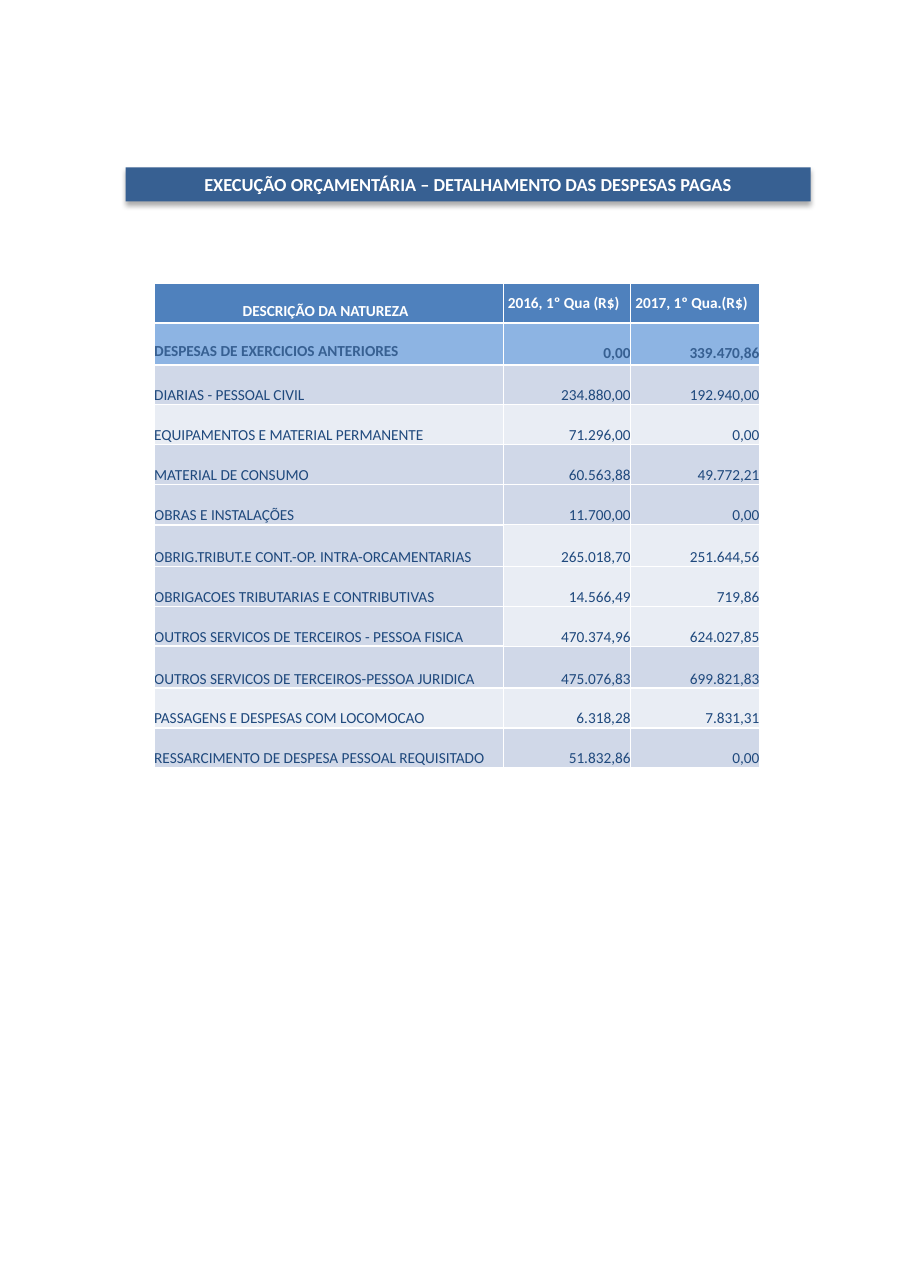
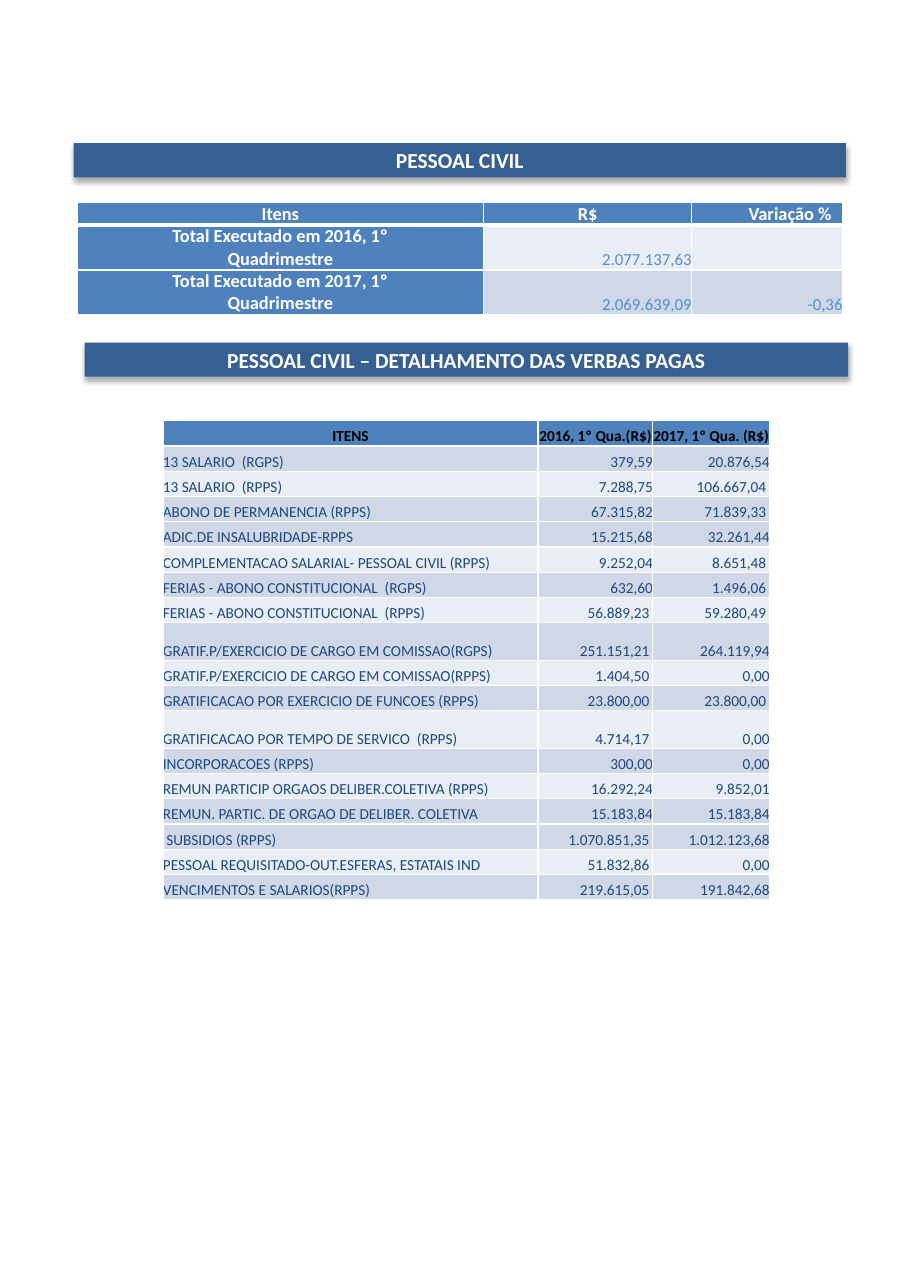
from dataclasses import dataclass, replace

from lxml.etree import SubElement
from pptx import Presentation
from pptx.dml.color import RGBColor
from pptx.enum.shapes import MSO_SHAPE
from pptx.enum.text import MSO_ANCHOR, PP_ALIGN
from pptx.oxml.ns import qn
from pptx.util import Pt


@dataclass(frozen=True)
class Theme:
    font: str = "Calibri"
    banner: str = "376092"
    header: str = "4F81BD"
    highlight: str = "8DB4E3"
    dark_band: str = "D0D8E8"
    light_band: str = "E9EDF4"
    body: str = "1F497D"
    amount: str = "558ED5"
    white: str = "FFFFFF"
    black: str = "000000"
    small: float = 10
    medium: float = 11
    large: float = 12
    title: float = 14


THEME = Theme()
BANDS = {"D": THEME.dark_band, "L": THEME.light_band,
         "H": THEME.header, "A": THEME.highlight}


@dataclass(frozen=True)
class CellStyle:
    size: float = THEME.small
    color: str = THEME.body
    bold: bool = False
    align: PP_ALIGN = PP_ALIGN.LEFT
    anchor: MSO_ANCHOR = MSO_ANCHOR.BOTTOM
    left: float = 0
    right: float = 0
    bottom: float = 0


LABEL = CellStyle()
VALUE = replace(LABEL, align=PP_ALIGN.RIGHT)
HEADING = replace(LABEL, color=THEME.white, bold=True, align=PP_ALIGN.CENTER)

EXPENSES = [
    ("DESCRIÇÃO DA NATUREZA", "2016, 1º Qua (R$)", "2017, 1º Qua.(R$)"),
    ("DESPESAS DE EXERCICIOS ANTERIORES", "0,00", "339.470,86"),
    ("DIARIAS - PESSOAL CIVIL", "234.880,00", "192.940,00"),
    ("EQUIPAMENTOS E MATERIAL PERMANENTE", "71.296,00", "0,00"),
    ("MATERIAL DE CONSUMO", "60.563,88", "49.772,21"),
    ("OBRAS E INSTALAÇÕES", "11.700,00", "0,00"),
    ("OBRIG.TRIBUT.E CONT.-OP. INTRA-ORCAMENTARIAS", "265.018,70", "251.644,56"),
    ("OBRIGACOES TRIBUTARIAS E CONTRIBUTIVAS", "14.566,49", "719,86"),
    ("OUTROS SERVICOS DE TERCEIROS - PESSOA FISICA", "470.374,96", "624.027,85"),
    ("OUTROS SERVICOS DE TERCEIROS-PESSOA JURIDICA", "475.076,83", "699.821,83"),
    ("PASSAGENS E DESPESAS COM LOCOMOCAO", "6.318,28", "7.831,31"),
    ("RESSARCIMENTO DE DESPESA PESSOAL REQUISITADO", "51.832,86", "0,00"),
]
TOTALS = [
    ("Itens", "R$", "Variação %"),
    ("Total Executado em 2016, 1º Quadrimestre", "2.077.137,63", ""),
    ("Total Executado em 2017, 1º Quadrimestre", "2.069.639,09", "-0,36"),
]
PAYROLL = [
    ("ITENS", "2016, 1º Qua.(R$)", "2017, 1º Qua. (R$)"),
    ("13 SALARIO  (RGPS)", "379,59", "20.876,54"),
    ("13 SALARIO  (RPPS)", "7.288,75", "106.667,04 "),
    ("ABONO DE PERMANENCIA (RPPS)", "67.315,82", "71.839,33 "),
    ("ADIC.DE INSALUBRIDADE-RPPS", "15.215,68", "32.261,44"),
    ("COMPLEMENTACAO SALARIAL- PESSOAL CIVIL (RPPS)", "9.252,04", "8.651,48 "),
    ("FERIAS - ABONO CONSTITUCIONAL  (RGPS)", "632,60", "1.496,06 "),
    ("FERIAS - ABONO CONSTITUCIONAL  (RPPS)", "56.889,23 ", "59.280,49 "),
    ("GRATIF.P/EXERCICIO DE CARGO EM COMISSAO(RGPS)", "251.151,21 ", "264.119,94"),
    ("GRATIF.P/EXERCICIO DE CARGO EM COMISSAO(RPPS)", "1.404,50 ", "0,00"),
    ("GRATIFICACAO POR EXERCICIO DE FUNCOES (RPPS)", "23.800,00 ", "23.800,00 "),
    ("GRATIFICACAO POR TEMPO DE SERVICO  (RPPS)", "4.714,17 ", "0,00"),
    ("INCORPORACOES (RPPS)", "300,00", "0,00"),
    ("REMUN PARTICIP ORGAOS DELIBER.COLETIVA (RPPS)", "16.292,24", "9.852,01"),
    ("REMUN. PARTIC. DE ORGAO DE DELIBER. COLETIVA", "15.183,84", "15.183,84"),
    (" SUBSIDIOS (RPPS)", "1.070.851,35 ", "1.012.123,68"),
    ("PESSOAL REQUISITADO-OUT.ESFERAS, ESTATAIS IND", "51.832,86 ", "0,00"),
    ("VENCIMENTOS E SALARIOS(RPPS)", "219.615,05 ", "191.842,68"),
]


def paint(fill, color):
    fill.solid()
    fill.fore_color.rgb = RGBColor.from_string(color)


def write(frame, text, size, color, bold, align):
    para = frame.paragraphs[0]
    para.text = text
    para.alignment = align
    for span in para.runs:
        span.font.name = THEME.font
        span.font.size = Pt(size)
        span.font.bold = bold
        span.font.color.rgb = RGBColor.from_string(color)


def add_banner(page, box, text, size):
    """Title band with a soft shadow below it."""
    banner = page.shapes.add_shape(MSO_SHAPE.RECTANGLE, *map(Pt, box))
    paint(banner.fill, THEME.banner)
    banner.line.fill.background()
    banner.shadow.inherit = False
    effects = banner._element.spPr.find(qn("a:effectLst"))
    shadow = SubElement(effects, qn("a:outerShdw"), blurRad=str(Pt(3.5)),
                        dist=str(Pt(2.2)), dir="5400000", rotWithShape="0")
    tone = SubElement(shadow, qn("a:srgbClr"), val=THEME.black)
    SubElement(tone, qn("a:alpha"), val="32000")
    frame = banner.text_frame
    frame.word_wrap = True
    frame.vertical_anchor = MSO_ANCHOR.MIDDLE
    write(frame, text, size, THEME.white, True, PP_ALIGN.CENTER)


def set_borders(cell, top, bottom):
    """White rules; the side ones are always 1 pt."""
    properties = cell._tc.get_or_add_tcPr()
    for side, width in (("L", 1), ("R", 1), ("T", top), ("B", bottom)):
        line = SubElement(properties, qn(f"a:ln{side}"), w=str(Pt(width)))
        SubElement(SubElement(line, qn("a:solidFill")), qn("a:srgbClr"),
                   val=THEME.white)


def add_grid(page, origin, widths, heights, rows, bands, style_for, rules):
    """Table; bands has one letter a cell, rules the heavier lines under cells."""
    frame = page.shapes.add_table(len(rows), len(widths), *map(
        Pt, (*origin, sum(widths), sum(heights))))
    table = frame.table
    table.first_row = table.horz_banding = False
    for column, width in zip(table.columns, widths):
        column.width = Pt(width)
    for r, (texts, height) in enumerate(zip(rows, heights)):
        table.rows[r].height = Pt(height)
        for c, text in enumerate(texts):
            cell, style = table.cell(r, c), style_for(r, c)
            cell.margin_left, cell.margin_right = Pt(style.left), Pt(style.right)
            cell.margin_top, cell.margin_bottom = Pt(0), Pt(style.bottom)
            cell.vertical_anchor = style.anchor
            set_borders(cell, rules.get((r - 1, c), 1), rules.get((r, c), 1))
            paint(cell.fill, BANDS[bands[r][c]])
            write(cell.text_frame, text, style.size, style.color,
                  style.bold, style.align)


def expense_style(row, column):
    if row == 0:
        heading = replace(HEADING, right=4.5)
        if column:
            return replace(heading, anchor=MSO_ANCHOR.MIDDLE)
        return replace(heading, bottom=1.6)
    style = VALUE if column else LABEL
    if row == 1:
        return replace(style, color=THEME.banner, bold=True,
                       bottom=1.5 if column else 3)
    return style


def totals_style(row, column):
    heading = replace(HEADING, size=THEME.large, anchor=MSO_ANCHOR.TOP)
    if column == 0:
        return replace(heading, left=28.8, right=28.8)
    if row == 0:
        return heading if column == 1 else replace(
            heading, align=PP_ALIGN.RIGHT, right=7.2)
    return replace(VALUE, size=THEME.medium, color=THEME.amount)


def payroll_style(row, column):
    if row == 0:
        return replace(HEADING, color=THEME.black)
    return VALUE if column else LABEL


def build_expenses(page):
    add_banner(page, (82.1, 109.4, 447.8, 22.3),
               "EXECUÇÃO ORÇAMENTÁRIA – DETALHAMENTO DAS DESPESAS PAGAS",
               THEME.large)
    heights = [27.4 if r in (1, 6, 9) else 26.1 for r in range(len(EXPENSES))]
    bands = "HHH AAA DDD LLL DDD DDD DLL DLL DLL DDD LLL DDD".split()
    add_grid(page, (100.8, 185), (228.3, 83, 84.2), heights, EXPENSES, bands,
             expense_style, {(5, 0): 1.5, (8, 0): 1.5})


def build_payroll(page):
    # Totals
    add_banner(page, (48.2, 93.6, 504.7, 22.3), "PESSOAL CIVIL", THEME.title)
    add_grid(page, (50.4, 132.5), (265.7, 136.1, 98.6), (14.7, 29.3, 29.3),
             TOTALS, ("HHH", "HLL", "HDD"), totals_style,
             {(0, c): 3 for c in range(3)})
    # Details
    add_banner(page, (55.4, 223.9, 499, 22.3),
               "PESSOAL CIVIL – DETALHAMENTO DAS VERBAS PAGAS", THEME.title)
    heights = [24.5 if r in (8, 11) else 16.5 for r in range(len(PAYROLL))]
    bands = [letter * 3 for letter in "HDLDDLDLDLDLDLDDLD"]
    rules = {(r, c): 1.5 for r in (0, 14) for c in range(3)} | {(16, 2): 1.5}
    add_grid(page, (106.5, 275), (245.2, 75, 76.3), heights, PAYROLL, bands,
             payroll_style, rules)


def main():
    deck = Presentation()
    deck.slide_width, deck.slide_height = Pt(595.44), Pt(841.68)
    for build in (build_expenses, build_payroll):
        build(deck.slides.add_slide(deck.slide_layouts[6]))
    deck.save("out.pptx")


if __name__ == "__main__":
    main()
